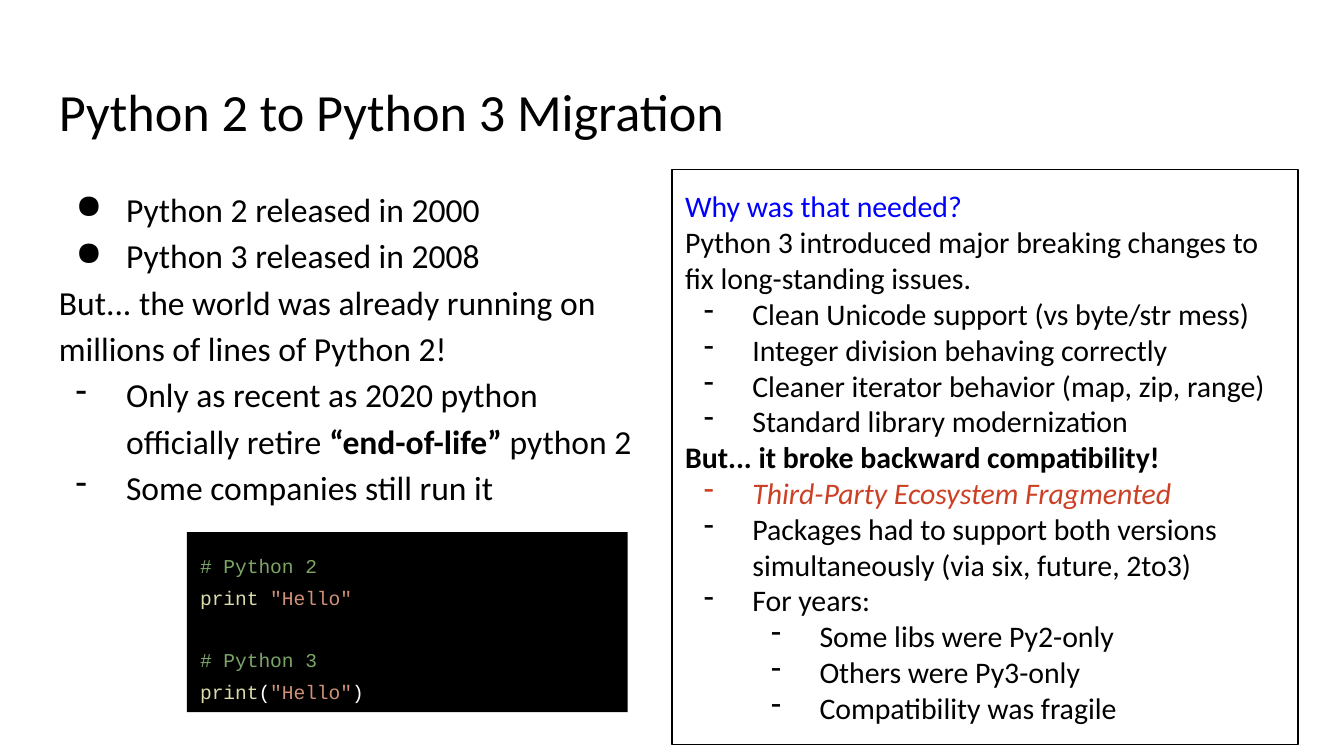
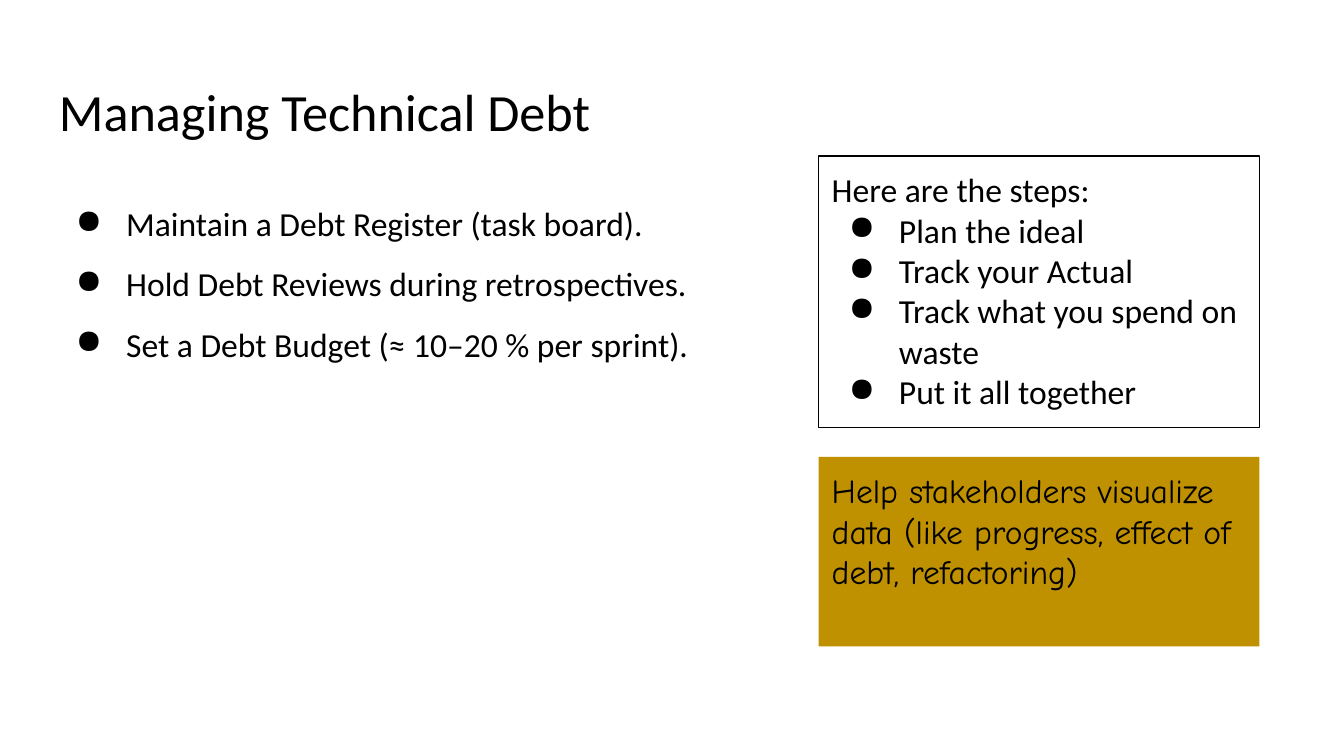
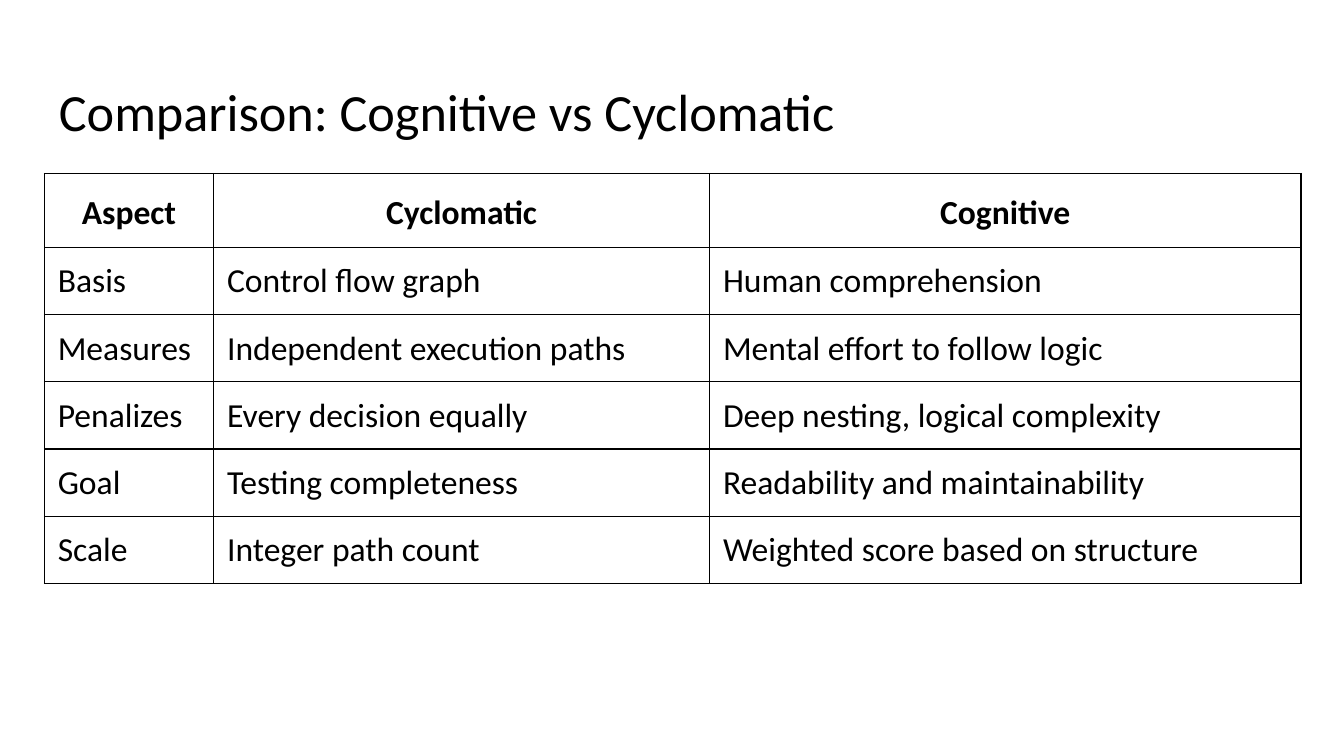
from dataclasses import dataclass

import pptx
import pptx.dml.color
import pptx.enum.shapes
import pptx.enum.text
import pptx.oxml
import pptx.oxml.ns
import pptx.util

COLS, ROWS = 100, 56.25
CELL = pptx.util.Inches(0.1)  # side of one square grid cell
BLACK, WHITE, BLUE, RED, GOLD = "000000", "FFFFFF", "0000FF", "CC4125", "BF9000"
NOTE, CALL, QUOTE = "7CA668", "DCDCAA", "CE9178"
SANS, HAND, MONO = "Calibri", "Comic Neue", "Courier New"
DOT, DASH = "●", "-"
EDGE = 0.75
LEFT, WIDE, HALF, SIDE = 3.4, 93.2, 46.6, 32.8
BODY = 12.6
CENTER = pptx.enum.text.PP_ALIGN.CENTER


@dataclass(frozen=True)
class Area:
    """A place on the grid, in columns and rows."""
    left: float
    top: float
    width: float
    height: float

    def box(self) -> tuple[int, ...]:
        return tuple(round(n * CELL) for n in (self.left, self.top, self.width, self.height))


@dataclass(frozen=True)
class Style:
    size: float = 18
    font: str = SANS
    space: float = 1.0


@dataclass(frozen=True)
class Run:
    text: str
    color: str = BLACK
    bold: bool = False
    italic: bool = False


@dataclass(frozen=True)
class Line:
    runs: tuple[Run, ...]
    bullet: str = ""
    level: int = 0
    space: float | None = None
    before: float = 0


def plain(text: str, **look) -> Line:
    return Line((Run(text, **look),))


def items(mark: str, *texts: str, level: int = 0) -> list[Line]:
    return [Line((Run(text),), mark, level) for text in texts]


def rgb(code: str) -> pptx.dml.color.RGBColor:
    return pptx.dml.color.RGBColor.from_string(code)


def node(xml: str):
    head, rest = xml.split(" ", 1)
    return pptx.oxml.parse_xml(f"{head} {pptx.oxml.ns.nsdecls('a')} {rest}")


def mark(para, line: Line, size: float) -> None:
    """Give a paragraph its bullet, indent and level."""
    para.level = line.level
    props = para._p.get_or_add_pPr()
    props.set("marL", str(pptx.util.Inches(0.5 * (line.level + 1))))
    props.set("indent", str(-pptx.util.Inches(0.25 + size / 144)))
    props.append(node(f'<a:buClr ><a:srgbClr val="{line.runs[0].color}"/></a:buClr>'))
    props.append(node(f'<a:buChar char="{line.bullet}"/>'))


def write(frame, lines: list[Line], style: Style) -> None:
    frame.word_wrap = True
    frame.vertical_anchor = pptx.enum.text.MSO_ANCHOR.TOP
    frame.margin_left = frame.margin_right = CELL
    frame.margin_top = frame.margin_bottom = CELL
    frame.text = "\n".join(line.runs[0].text for line in lines)
    for para, line in zip(frame.paragraphs, lines):
        para.alignment = pptx.enum.text.PP_ALIGN.LEFT
        para.line_spacing = line.space or style.space
        if line.before:
            para.space_before = pptx.util.Pt(line.before)
        if line.bullet:
            mark(para, line, style.size)
        for part in line.runs[1:]:
            para.add_run().text = part.text
        for run, part in zip(para.runs, line.runs):
            font = run.font
            font.name, font.size = style.font, pptx.util.Pt(style.size)
            font.bold, font.italic = part.bold, part.italic
            font.color.rgb = rgb(part.color)


def text(slide, area: Area, lines: list[Line], style: Style) -> None:
    write(slide.shapes.add_textbox(*area.box()).text_frame, lines, style)


def panel(slide, area: Area, lines: list[Line], style: Style, fill: str = "") -> None:
    """Draw a filled rectangle, or an outlined one if it has no fill."""
    kind = pptx.enum.shapes.MSO_SHAPE.RECTANGLE
    shape = slide.shapes.add_shape(kind, *area.box())
    shape.shadow.inherit = False
    if fill:
        shape.fill.solid()
        shape.fill.fore_color.rgb = rgb(fill)
        shape.line.fill.background()
    else:
        shape.fill.background()
        shape.line.color.rgb = rgb(BLACK)
        shape.line.width = pptx.util.Pt(EDGE)
    write(shape.text_frame, lines, style)


def border(cell) -> None:
    props = cell._tc.get_or_add_tcPr()
    for spot, side in enumerate("LRTB"):
        props.insert(spot, node(
            f'<a:ln{side} w="{pptx.util.Pt(EDGE)}"><a:solidFill>'
            f'<a:srgbClr val="{BLACK}"/></a:solidFill></a:ln{side}>'))


def grid(slide, left: float, top: float, cols: list[float], rows: list[float],
         data: list[tuple[str, ...]]) -> None:
    area = Area(left, top, sum(cols), sum(rows))
    table = slide.shapes.add_table(len(rows), len(cols), *area.box()).table
    table.first_row = table.horz_banding = False
    for col, width in zip(table.columns, cols):
        col.width = round(width * CELL)
    for r, (row, height) in enumerate(zip(table.rows, rows)):
        row.height = round(height * CELL)
        head = r == 0
        for cell, word in zip(row.cells, data[r]):
            cell.fill.background()
            border(cell)
            write(cell.text_frame, [plain(word, bold=head)], Style(space=1.15 if head else 1))
            cell.margin_left = cell.margin_right = CELL
            cell.margin_top = cell.margin_bottom = CELL
            if head:
                cell.text_frame.paragraphs[0].alignment = CENTER


def page(deck, title: str):
    slide = deck.slides.add_slide(deck.slide_layouts[6])
    text(slide, Area(LEFT, 4.9, WIDE, 6.7), [plain(title)], Style(28))
    return slide


def migration(deck) -> None:
    slide = page(deck, "Python 2 to Python 3 Migration")
    retire = (Run("Only as recent as 2020 python officially retire "),
              Run("“end-of-life”", bold=True), Run(" python 2"))
    text(slide, Area(LEFT, BODY, HALF, 26), [
        *items(DOT, "Python 2 released in 2000", "Python 3 released in 2008"),
        plain("But... the world was already running on millions of lines of Python 2!"),
        Line(retire, DASH),
        *items(DASH, "Some companies still run it"),
    ], Style(space=1.15))
    panel(slide, Area(COLS / 2, BODY, HALF, 42.8), [
        Line((Run("Why was that needed?", BLUE),), space=1.15),
        plain("Python 3 introduced major breaking changes to fix long-standing issues."),
        *items(DASH, "Clean Unicode support (vs byte/str mess)",
               "Integer division behaving correctly",
               "Cleaner iterator behavior (map, zip, range)",
               "Standard library modernization"),
        plain("But... it broke backward compatibility!", bold=True),
        Line((Run("Third-Party Ecosystem Fragmented", RED, italic=True),), DASH),
        *items(DASH, "Packages had to support both versions simultaneously "
               "(via six, future, 2to3)", "For years:"),
        *items(DASH, "Some libs were Py2-only", "Others were Py3-only",
               "Compatibility was fragile", level=1),
    ], Style(16))
    call, hello = Run("print", CALL), Run('"Hello"', QUOTE)
    panel(slide, Area(13.9, 39.6, SIDE, 13.4), [
        plain("# Python 2", color=NOTE),
        Line((call, Run(" ", WHITE), hello)),
        Line((Run("# Python 3", NOTE),), before=16.2),
        Line((call, Run("(", WHITE), hello, Run(")", WHITE))),
    ], Style(10.5, MONO, 1.36), BLACK)


def debt(deck) -> None:
    slide = page(deck, "Managing Technical Debt")
    text(slide, Area(LEFT, BODY, WIDE, 14.1), items(
        DOT, "Maintain a Debt Register (task board).",
        "Hold Debt Reviews during retrospectives.",
        "Set a Debt Budget (≈ 10–20 % per sprint)."), Style(space=1.5))
    panel(slide, Area(60.9, 11.6, SIDE, 20.2), [
        plain("Here are the steps:"),
        *items(DOT, "Plan the ideal", "Track your Actual",
               "Track what you spend on waste", "Put it all together"),
    ], Style())
    panel(slide, Area(60.9, 34, SIDE, 14.1), [
        plain("Help stakeholders visualize data (like progress, effect of debt, refactoring)"),
    ], Style(font=HAND), GOLD)


def compare(deck) -> None:
    slide = page(deck, "Comparison: Cognitive vs Cyclomatic")
    data = [
        ("Aspect", "Cyclomatic", "Cognitive"),
        ("Basis", "Control flow graph", "Human comprehension"),
        ("Measures", "Independent execution paths", "Mental effort to follow logic"),
        ("Penalizes", "Every decision equally", "Deep nesting, logical complexity"),
        ("Goal", "Testing completeness", "Readability and maintainability"),
        ("Scale", "Integer path count", "Weighted score based on structure"),
    ]
    rows = [5.5] + [5] * (len(data) - 1)
    grid(slide, 3.3, 12.9, [12.6, 36.9, 44], rows, data)


def main() -> None:
    deck = pptx.Presentation()
    deck.slide_width, deck.slide_height = round(COLS * CELL), round(ROWS * CELL)
    for draw in (migration, debt, compare):
        draw(deck)
    deck.save("out.pptx")


if __name__ == "__main__":
    main()
